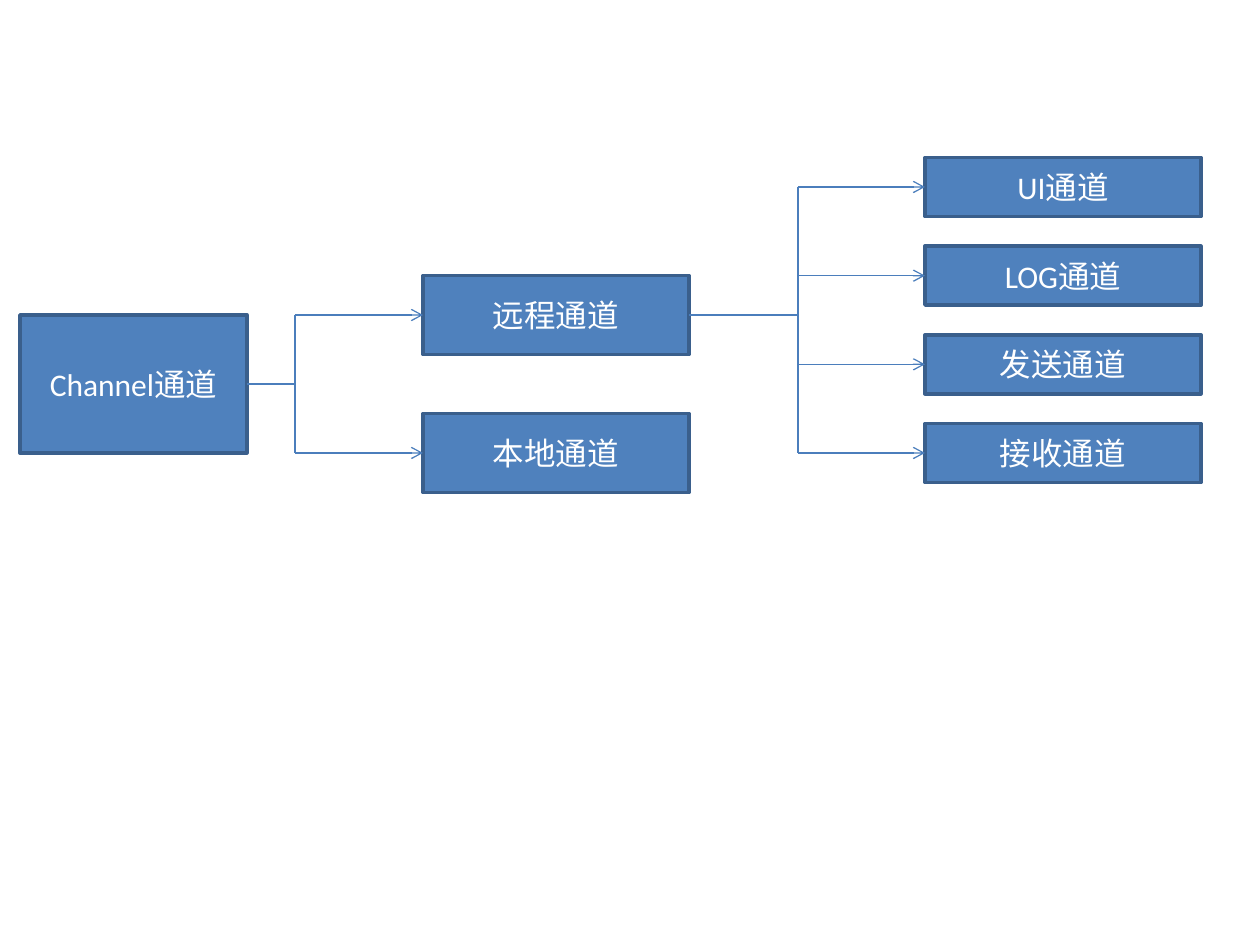
from lxml import etree
from pptx import Presentation, util as u
from pptx.dml.color import RGBColor
from pptx.enum import shapes, text
from pptx.oxml.ns import qn

PX = u.Inches(1) / 126
HUES = {"fill": "4F81BD", "edge": "3A5F8C", "wire": "4B7EBC", "text": "FFFFFF"}

deck = Presentation()
deck.slide_width, deck.slide_height = u.Inches(10), u.Inches(7.5)
slide = deck.slides.add_slide(deck.slide_layouts[6])


def box(label, left, mid, width, height):
    area = [int(n * PX) for n in (left, mid - height / 2, width, height)]
    shape = slide.shapes.add_shape(shapes.MSO_SHAPE.RECTANGLE, *area)
    shape.shadow.inherit = False
    shape.fill.solid()
    shape.fill.fore_color.rgb = RGBColor.from_string(HUES["fill"])
    shape.line.color.rgb = RGBColor.from_string(HUES["edge"])
    shape.line.width = u.Pt(2)
    frame = shape.text_frame
    frame.word_wrap = True
    frame.vertical_anchor = text.MSO_ANCHOR.MIDDLE
    para = frame.paragraphs[0]
    para.text = label
    para.alignment = text.PP_ALIGN.CENTER
    para.font.name = "Calibri"
    para.font.size = u.Pt(18)
    para.font.color.rgb = RGBColor.from_string(HUES["text"])


def wire(x1, y1, x2, y2, arrow=False):
    ends = [int(n * PX) for n in (x1, y1, x2, y2)]
    link = slide.shapes.add_connector(shapes.MSO_CONNECTOR.STRAIGHT, *ends)
    link.line.color.rgb = RGBColor.from_string(HUES["wire"])
    link.line.width = u.Pt(0.75)
    if arrow:
        etree.SubElement(link.line._get_or_add_ln(), qn("a:tailEnd"), type="arrow")
    etree.SubElement(link._element.spPr, qn("a:effectLst"))


top, low = 315, 453
root = (top + low) / 2
box("Channel通道", 20, root, 227, 138)

levels = [
    (["远程通道", "本地通道"], top, 423, 266, 79, 247, 295, root),
    (["UI通道", "LOG通道", "发送通道", "接收通道"], 187, 925, 276, 59, 689, 798, top),
]
for names, first, left, width, height, start, trunk, stem in levels:
    step = (low - first) / (len(names) - 1)
    wire(start, stem, trunk, stem)
    wire(trunk, first, trunk, low)
    for i, name in enumerate(names):
        mid = first + i * step
        box(name, left, mid, width, height)
        wire(trunk, mid, left, mid, True)

deck.save("out.pptx")
